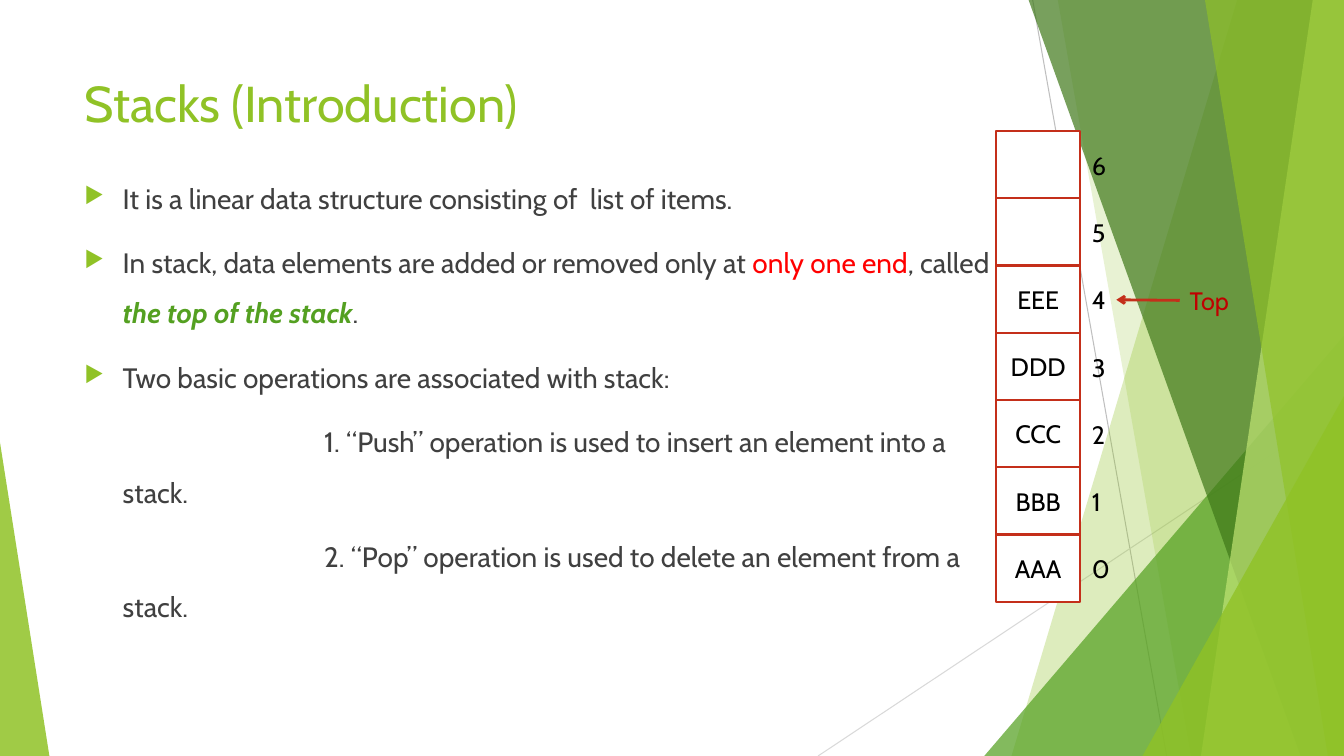
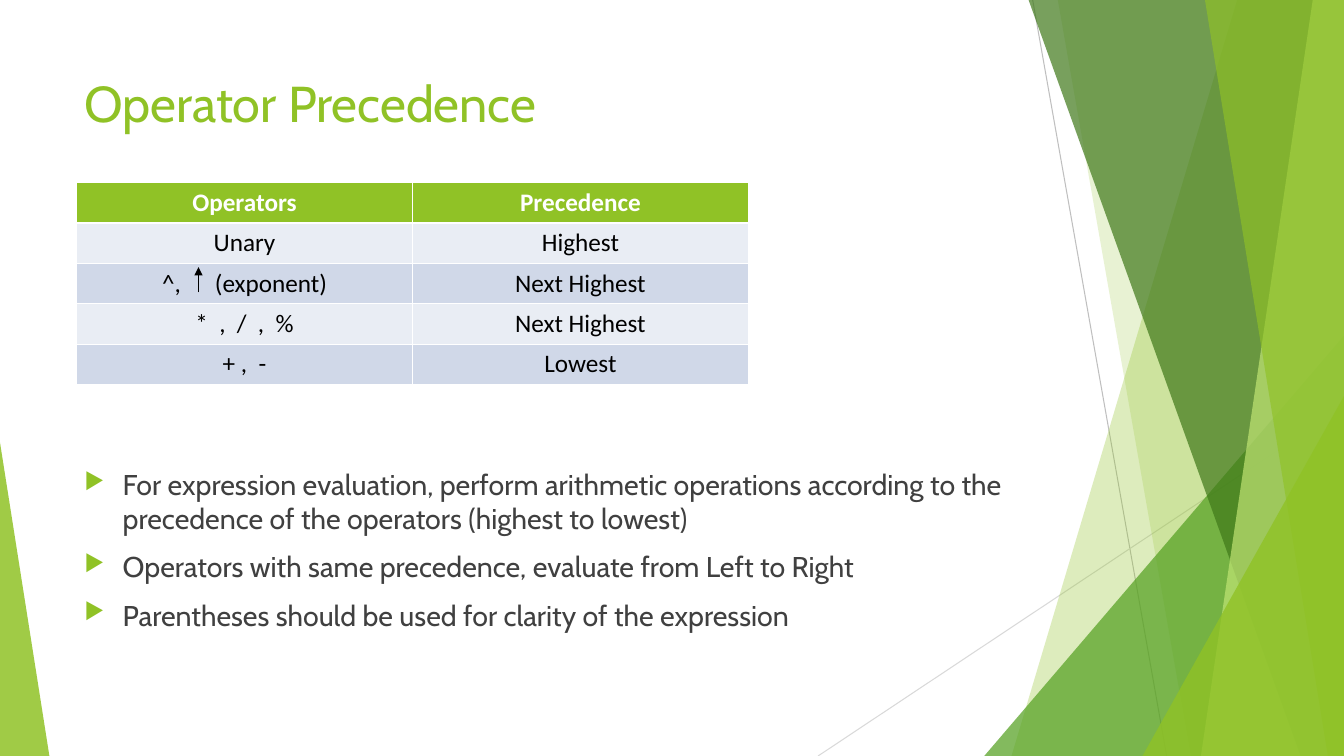
from dataclasses import dataclass
from typing import NamedTuple, Optional

from lxml import etree
from pptx import Presentation
from pptx.dml.color import RGBColor
from pptx.enum import shapes, text
from pptx.oxml.ns import qn
from pptx.util import Inches, Pt

# Shared look
WIDTH, HEIGHT = 13.34, 7.5
LEFT, TEXT_WIDTH = 0.74, 9.4
FONT, TABLE_FONT = "Cabin", "Calibri"
LIME = RGBColor(0x90, 0xC2, 0x26)
PALE_LIME = RGBColor(0xC0, 0xE4, 0x74)
GREEN = RGBColor(0x54, 0xA0, 0x21)
DARK_GREEN = RGBColor(0x3F, 0x78, 0x19)
GREY = RGBColor(0xBF, 0xBF, 0xBF)
LIGHT_GREY = RGBColor(0xD9, 0xD9, 0xD9)
INK = RGBColor(0x40, 0x40, 0x40)
BLACK = RGBColor(0, 0, 0)
WHITE = RGBColor(0xFF, 0xFF, 0xFF)
RED = RGBColor(0xFF, 0, 0)
DARK_RED = RGBColor(0xC0, 0, 0)
RUST = RGBColor(0xC4, 0x2F, 0x1A)
ROW_LIGHT = RGBColor(0xE9, 0xED, 0xF4)
ROW_DARK = RGBColor(0xD0, 0xD8, 0xE8)


@dataclass(frozen=True)
class Band:
    """Area right of a slanted edge, from the top to the bottom of the slide."""
    top_x: float
    bottom_x: float
    color: RGBColor
    alpha: int


@dataclass(frozen=True)
class Wedge:
    """Triangle standing on the bottom edge; apex 0 is left, 1 is right."""
    x: float
    y: float
    width: float
    apex: int
    color: RGBColor
    alpha: int


class Run(NamedTuple):
    text: str
    color: RGBColor = INK
    strong: bool = False


@dataclass(frozen=True)
class Item:
    runs: list[Run]
    bulleted: bool = True


BACKDROP = [
    Band(12.28, 10.04, LIME, 30),
    Band(10.5, 11.82, LIME, 20),
    Wedge(9.77, 3.33, WIDTH - 9.77, 1, GREEN, 72),
    Band(10.21, 12.91, DARK_GREEN, 70),
    Band(13.03, 11.92, PALE_LIME, 70),
    Band(11.96, 13.18, LIME, 65),
    Wedge(11.34, 3.93, WIDTH - 11.34, 1, LIME, 80),
    Wedge(0, 4.39, 0.49, 0, LIME, 85),
]


# Drawing helpers
def put_text(p, content: str, *, size: float = 18, color: RGBColor = BLACK,
             font: str = FONT, bold: bool = False, italic: bool = False,
             align=None, spacing: Optional[float] = None):
    r = p.add_run()
    r.text = content
    r.font.size, r.font.name = Pt(size), font
    r.font.bold, r.font.italic = bold, italic
    r.font.color.rgb = color
    if align is not None:
        p.alignment = align
    if spacing is not None:
        r.font._element.set("spc", str(round(spacing * 100)))


def add_box(slide, x: float, y: float, w: float, h: float, wrap: bool = True):
    sp = slide.shapes.add_textbox(Inches(x), Inches(y), Inches(w), Inches(h))
    sp.text_frame.word_wrap = wrap
    return sp


def add_line(slide, x1: float, y1: float, x2: float, y2: float,
             color: RGBColor, width: float, head: Optional[str] = None):
    cx = slide.shapes.add_connector(shapes.MSO_CONNECTOR.STRAIGHT, Inches(x1),
                                    Inches(y1), Inches(x2), Inches(y2))
    cx.line.color.rgb = color
    cx.line.width = Pt(width)
    if head:
        etree.SubElement(cx.line._get_or_add_ln(), qn("a:tailEnd"), type=head)
    etree.SubElement(cx._element.spPr, qn("a:effectLst"))
    return cx


def add_facet(slide, part: Band | Wedge) -> None:
    if isinstance(part, Band):
        corners = [(WIDTH, 0), (WIDTH, HEIGHT), (part.bottom_x, HEIGHT)]
        builder = slide.shapes.build_freeform(Inches(part.top_x), 0)
        builder.add_line_segments([(Inches(x), Inches(y)) for x, y in corners])
        sp = builder.convert_to_shape()
    else:
        sp = slide.shapes.add_shape(
            shapes.MSO_SHAPE.ISOSCELES_TRIANGLE, Inches(part.x), Inches(part.y),
            Inches(part.width), Inches(HEIGHT - part.y))
        sp.adjustments[0] = part.apex
    sp.shadow.inherit = False
    sp.fill.solid()
    sp.fill.fore_color.rgb = part.color
    clr = sp._element.spPr.find(qn("a:solidFill")).find(qn("a:srgbClr"))
    etree.SubElement(clr, qn("a:alpha"), val=str(part.alpha * 1000))
    sp.line.fill.background()


def new_slide(prs, title: str):
    slide = prs.slides.add_slide(prs.slide_layouts[6])
    add_line(slide, 10.25, 0, 11.58, HEIGHT, GREY, 0.75)
    add_line(slide, WIDTH, 4.03, 8.12, HEIGHT, LIGHT_GREY, 0.75)
    for part in BACKDROP:
        add_facet(slide, part)
    tf = add_box(slide, LEFT, 0.67, TEXT_WIDTH, 1.44).text_frame
    put_text(tf.paragraphs[0], title, size=36, color=LIME)
    return slide


def set_indent(p, bulleted: bool) -> None:
    pPr = p._p.get_or_add_pPr()
    pPr.set("marL", str(Inches(0.38)))
    pPr.set("indent", str(Inches(-0.38 if bulleted else 2)))
    if bulleted:
        clr = etree.SubElement(pPr, qn("a:buClr"))
        etree.SubElement(clr, qn("a:srgbClr"), val=str(LIME))
        etree.SubElement(pPr, qn("a:buSzPct"), val="80000")
        etree.SubElement(pPr, qn("a:buChar"), char="▶")


def add_body(slide, y: float, h: float, items: list[Item], size: float,
             line_spacing: float) -> None:
    tf = add_box(slide, LEFT, y, TEXT_WIDTH, h).text_frame
    for i, item in enumerate(items):
        p = tf.add_paragraph() if i else tf.paragraphs[0]
        set_indent(p, item.bulleted)
        p.line_spacing = line_spacing
        p.space_before = Pt(10 if i else 0)
        for run in item.runs:
            put_text(p, run.text, size=size, color=run.color,
                     bold=run.strong, italic=run.strong)


def set_borders(cell, top: float, bottom: float) -> None:
    tcPr = cell._tc.get_or_add_tcPr()
    for side, width in (("L", 0.45), ("R", 0.45), ("T", top), ("B", bottom)):
        ln = etree.SubElement(tcPr, qn(f"a:ln{side}"), w=str(Pt(width)))
        fill = etree.SubElement(ln, qn("a:solidFill"))
        etree.SubElement(fill, qn("a:srgbClr"), val=str(WHITE))


# Slide 1: stack diagram
STACK_X, STACK_Y, CELL_W = 9.89, 1.3, 0.83
STACK = ["", "", "EEE", "DDD", "CCC", "BBB", "AAA"]
TOP_INDEX = 4
CELL_H = 4.67 / len(STACK)


def add_stack(slide) -> None:
    index_boxes = {}
    for row, value in enumerate(STACK):
        y = STACK_Y + row * CELL_H
        sp = slide.shapes.add_shape(shapes.MSO_SHAPE.RECTANGLE, Inches(STACK_X),
                                    Inches(y), Inches(CELL_W), Inches(CELL_H))
        sp.shadow.inherit = False
        sp.fill.solid()
        sp.fill.fore_color.rgb = WHITE
        sp.line.color.rgb = RUST
        sp.line.width = Pt(1.5)
        if value:
            tf = sp.text_frame
            tf.vertical_anchor = text.MSO_ANCHOR.MIDDLE
            put_text(tf.paragraphs[0], value, align=text.PP_ALIGN.CENTER)
        index = len(STACK) - 1 - row
        box = add_box(slide, 10.74, y + 0.14, 0.34, 0.4, wrap=False)
        put_text(box.text_frame.paragraphs[0], str(index))
        index_boxes[index] = box

    # Pointer to the top element
    label = add_box(slide, 11.71, 2.78, 0.67, 0.4)
    put_text(label.text_frame.paragraphs[0], "Top", color=DARK_RED)
    arrow = add_line(slide, 11.71, 2.98, 11.08, 2.97, RUST, 2, "arrow")
    arrow.begin_connect(label, 1)
    arrow.end_connect(index_boxes[TOP_INDEX], 3)


def stacks_slide(prs) -> None:
    slide = new_slide(prs, "Stacks (Introduction)")
    add_body(slide, 1.58, 5.02, [
        Item([Run("It is a linear data structure consisting of  list of items.")]),
        Item([Run("In stack, data elements are added or removed only at "),
              Run("only one end", RED), Run(", called "),
              Run("the top of the stack", GREEN, True), Run(".")]),
        Item([Run("Two basic operations are associated with stack:")]),
        Item([Run("1. “Push” operation is used to insert an element into a "
                  "stack.")], bulleted=False),
        Item([Run("2. “Pop” operation is used to delete an element from a "
                  "stack.")], bulleted=False),
    ], size=20, line_spacing=1.5)
    add_stack(slide)


# Slide 2: precedence table
ARROW_GAP = 20.3
PRECEDENCE = [
    ("Operators", "Precedence"),
    ("Unary", "Highest"),
    ("^, (exponent)", "Next Highest"),
    ("*  ,  /  ,  %", "Next Highest"),
    ("+ ,  -", "Lowest"),
]


def add_precedence_table(slide) -> None:
    frame = slide.shapes.add_table(len(PRECEDENCE), 2, Inches(0.76),
                                   Inches(1.81), Inches(6.67), Inches(2))
    for i, values in enumerate(PRECEDENCE):
        header = i == 0
        fill = LIME if header else (ROW_LIGHT if i % 2 else ROW_DARK)
        for j, value in enumerate(values):
            cell = frame.table.cell(i, j)
            set_borders(cell, 1.47 if i == 1 else 0.45, 1.47 if header else 0.45)
            cell.fill.solid()
            cell.fill.fore_color.rgb = fill
            # The exponent row leaves room for the drawn arrow
            parts = [(value, None)]
            if value.startswith("^"):
                sign, name = value.split(" ")
                parts = [(sign, None), (" ", ARROW_GAP), (name, None)]
            for content, spacing in parts:
                put_text(cell.text_frame.paragraphs[0], content, font=TABLE_FONT,
                         color=WHITE if header else BLACK, bold=header,
                         align=text.PP_ALIGN.CENTER, spacing=spacing)
    add_line(slide, 1.97, 2.9, 1.97, 2.65, BLACK, 1, "triangle")


def precedence_slide(prs) -> None:
    slide = new_slide(prs, "Operator Precedence")
    add_body(slide, 4.58, 2.03, [
        Item([Run("For expression evaluation, perform arithmetic operations "
                  "according to the precedence of the operators "
                  "(highest to lowest)")]),
        Item([Run("Operators with same precedence, evaluate from Left to Right")]),
        Item([Run("Parentheses should be used for clarity of the expression")]),
    ], size=20.4, line_spacing=1)
    add_precedence_table(slide)


def main() -> None:
    prs = Presentation()
    prs.slide_width, prs.slide_height = Inches(WIDTH), Inches(HEIGHT)
    stacks_slide(prs)
    precedence_slide(prs)
    prs.save("out.pptx")


if __name__ == "__main__":
    main()
